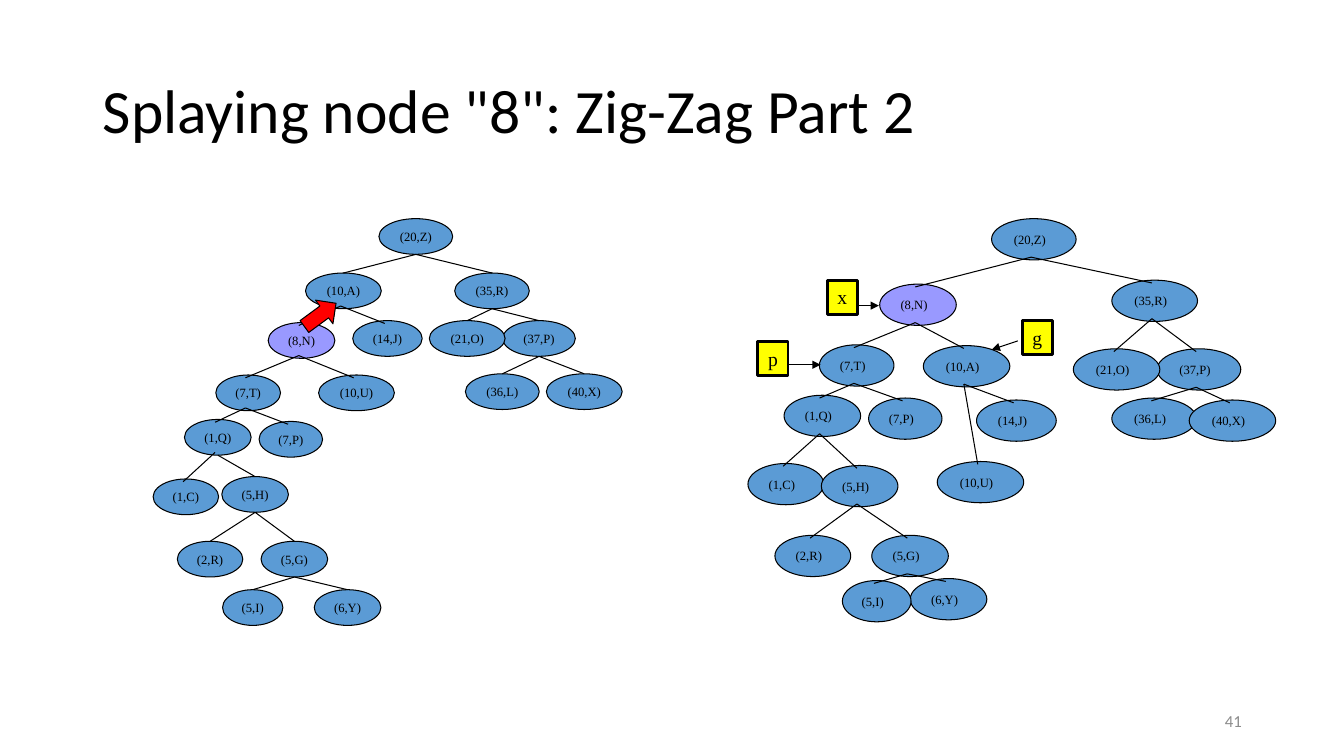
from dataclasses import dataclass

from lxml.etree import SubElement
from pptx import Presentation
from pptx.dml.color import RGBColor
from pptx.enum.shapes import MSO_CONNECTOR as Connector, MSO_SHAPE as Shape
from pptx.enum.text import MSO_ANCHOR as Anchor, PP_ALIGN as Align
from pptx.oxml.ns import qn
from pptx.util import Cm, Pt

BLACK = RGBColor(0x00, 0x00, 0x00)
GRAY = RGBColor(0x8C, 0x8C, 0x8C)
BLUE = RGBColor(0x5B, 0x9B, 0xD5)
VIOLET = RGBColor(0x99, 0x99, 0xFF)
RED = RGBColor(0xFF, 0x00, 0x00)
YELLOW = RGBColor(0xFF, 0xFF, 0x00)

SPLAYED = "(8,N)"
NUDGE = 0.07  # cm by which a nudged edge sits left of, and inside, its ovals


@dataclass
class Node:
    label: str
    parent: str
    left: float
    top: float
    width: float
    nudged: bool = False


@dataclass
class Tree:
    nodes: list[Node]
    height: float
    right_margin: float = 0
    nudged: bool = False


@dataclass
class Tag:
    label: str
    left: float
    top: float
    pointer: tuple[float, float, float, float]


BEFORE = Tree([
    Node("(10,A)", "(20,Z)", 7.7, 6.88, 1.91),
    Node("(20,Z)", "", 9.55, 5.51, 1.86),
    Node("(37,P)", "(35,R)", 12.67, 8.08, 1.83),
    Node("(21,O)", "(35,R)", 10.82, 8.08, 1.91),
    Node("(35,R)", "(20,Z)", 11.46, 6.88, 1.88),
    Node("(36,L)", "(37,P)", 11.73, 9.42, 1.86),
    Node("(40,X)", "(37,P)", 13.77, 9.42, 1.91),
    Node("(7,T)", SPLAYED, 5.44, 9.45, 1.63, nudged=True),
    Node("(1,C)", "(1,Q)", 3.86, 12.07, 1.65, nudged=True),
    Node("(1,Q)", "(7,T)", 4.65, 10.57, 1.68, nudged=True),
    Node("(5,G)", "(5,H)", 6.58, 13.64, 1.68),
    Node("(2,R)", "(5,H)", 4.47, 13.64, 1.65),
    Node("(5,H)", "(1,Q)", 5.59, 12.01, 1.68),
    Node("(6,Y)", "(5,G)", 7.92, 14.86, 1.68),
    Node("(5,I)", "(5,G)", 5.61, 14.86, 1.52),
    Node("(14,J)", "(10,A)", 8.89, 8.08, 1.75, nudged=True),
    Node(SPLAYED, "(10,A)", 6.76, 8.13, 1.68, nudged=True),
    Node("(7,P)", "(7,T)", 6.53, 10.62, 1.6, nudged=True),
    Node("(10,U)", SPLAYED, 8.03, 9.45, 1.91, nudged=True),
], height=0.9)

AFTER = Tree([
    Node("(10,A)", SPLAYED, 23.27, 8.71, 2.18),
    Node("(20,Z)", "", 24.99, 5.51, 2.13),
    Node("(37,P)", "(35,R)", 29.16, 8.79, 2.11),
    Node("(21,O)", "(35,R)", 27.05, 8.79, 2.18),
    Node("(35,R)", "(20,Z)", 28.02, 7.06, 2.16),
    Node("(36,L)", "(37,P)", 28.02, 10.03, 2.13),
    Node("(40,X)", "(37,P)", 29.97, 10.08, 2.18),
    Node("(7,T)", SPLAYED, 20.65, 8.69, 1.88),
    Node("(1,C)", "(1,Q)", 18.85, 11.68, 1.91),
    Node("(1,Q)", "(7,T)", 19.76, 9.96, 1.93),
    Node("(5,G)", "(5,H)", 21.97, 13.49, 1.93),
    Node("(2,R)", "(5,H)", 19.53, 13.49, 1.91),
    Node("(5,H)", "(1,Q)", 20.7, 11.73, 1.93),
    Node("(6,Y)", "(5,G)", 22.94, 14.58, 1.93),
    Node("(5,I)", "(5,G)", 21.23, 14.63, 1.73),
    Node("(14,J)", "(10,A)", 24.61, 10.08, 2.01),
    Node(SPLAYED, "(20,Z)", 22.17, 7.16, 1.93),
    Node("(7,P)", "(7,T)", 21.89, 10.03, 1.85),
    Node("(10,U)", "(10,A)", 23.62, 11.63, 2.18),
], height=1.04, right_margin=0.2, nudged=True)

TAGS = [
    Tag("x", 20.85, 7.06, (21.49, 7.7, 22.15, 7.7)),
    Tag("p", 19.1, 8.61, (19.81, 9.19, 20.68, 9.19)),
    Tag("g", 25.76, 8.08, (25.65, 8.59, 24.99, 8.81)),
]


def write(shape, text: str, *, size: float, font: str = "Times New Roman",
          color: RGBColor = BLACK, align=Align.CENTER, anchor=Anchor.MIDDLE,
          wrap: bool = False, margins=(0, 0, 0, 0), spacing: float = 1) -> None:
    """Margins run left, top, right, bottom, in centimetres."""
    frame = shape.text_frame
    frame.word_wrap = wrap
    frame.vertical_anchor = anchor
    (frame.margin_left, frame.margin_top,
     frame.margin_right, frame.margin_bottom) = map(Cm, margins)
    paragraph = frame.paragraphs[0]
    paragraph.alignment = align
    paragraph.line_spacing = spacing
    run = paragraph.add_run()
    run.text = text
    run.font.size = Pt(size)
    run.font.name = font
    run.font.color.rgb = color


def add_figure(slide, kind, left: float, top: float, width: float, height: float,
               fill: RGBColor, line_width: float = 0.75):
    shape = slide.shapes.add_shape(kind, Cm(left), Cm(top), Cm(width), Cm(height))
    shape.shadow.inherit = False
    shape.fill.solid()
    shape.fill.fore_color.rgb = fill
    shape.line.color.rgb = BLACK
    shape.line.width = Pt(line_width)
    return shape


def add_line(slide, x1: float, y1: float, x2: float, y2: float,
             arrow: bool = False) -> None:
    line = slide.shapes.add_connector(
        Connector.STRAIGHT, Cm(x1), Cm(y1), Cm(x2), Cm(y2))
    line.line.color.rgb = BLACK
    line.line.width = Pt(0.75)
    properties = line._element.spPr
    if arrow:
        SubElement(properties.find(qn("a:ln")), qn("a:tailEnd"), type="triangle")
    SubElement(properties, qn("a:effectLst"))


def add_tree(slide, tree: Tree) -> None:
    for node in tree.nodes:
        oval = add_figure(slide, Shape.OVAL, node.left, node.top, node.width,
                          tree.height, VIOLET if node.label == SPLAYED else BLUE)
        write(oval, node.label, size=9, margins=(0, 0, tree.right_margin, 0))
    # Edges run from the bottom of the parent to the top of the child
    by_label = {node.label: node for node in tree.nodes}
    for node in tree.nodes:
        if node.parent:
            parent = by_label[node.parent]
            nudge = NUDGE if tree.nudged or node.nudged else 0
            add_line(slide,
                     parent.left + parent.width / 2 - nudge,
                     parent.top + tree.height - nudge,
                     node.left + node.width / 2 - nudge,
                     node.top + nudge)


def add_label(slide, text: str, left: float, top: float, width: float,
              height: float, **text_format) -> None:
    box = slide.shapes.add_textbox(Cm(left), Cm(top), Cm(width), Cm(height))
    write(box, text, font="Calibri", wrap=True,
          margins=(0.25, 0.13, 0.25, 0.13), **text_format)


def main() -> None:
    presentation = Presentation()
    presentation.slide_width = Cm(33.87)
    presentation.slide_height = Cm(19.05)
    slide = presentation.slides.add_slide(presentation.slide_layouts[6])

    # Title and slide number
    add_label(slide, 'Splaying node "8": Zig-Zag Part 2', 2.34, 1.02, 29.21, 3.68,
              size=44, align=Align.LEFT, spacing=0.9)
    add_label(slide, "41", 23.93, 17.65, 7.62, 1.02,
              size=12, color=GRAY, align=Align.RIGHT)

    # Trees before and after the rotation
    add_tree(slide, BEFORE)
    add_tree(slide, AFTER)

    # Rotation arrow
    rotation_arrow = add_figure(slide, Shape.DOWN_ARROW, 7.7, 7.44, 0.74, 0.99, RED)
    rotation_arrow.rotation = 233.7

    # Tags naming the node, its parent and its grandparent
    for tag in TAGS:
        add_line(slide, *tag.pointer, arrow=True)
        square = add_figure(slide, Shape.RECTANGLE, tag.left, tag.top,
                            0.76, 0.86, YELLOW, line_width=2)
        write(square, tag.label, size=14, anchor=Anchor.TOP,
              margins=(0, 0.13, 0, 0))

    presentation.save("out.pptx")


if __name__ == "__main__":
    main()
